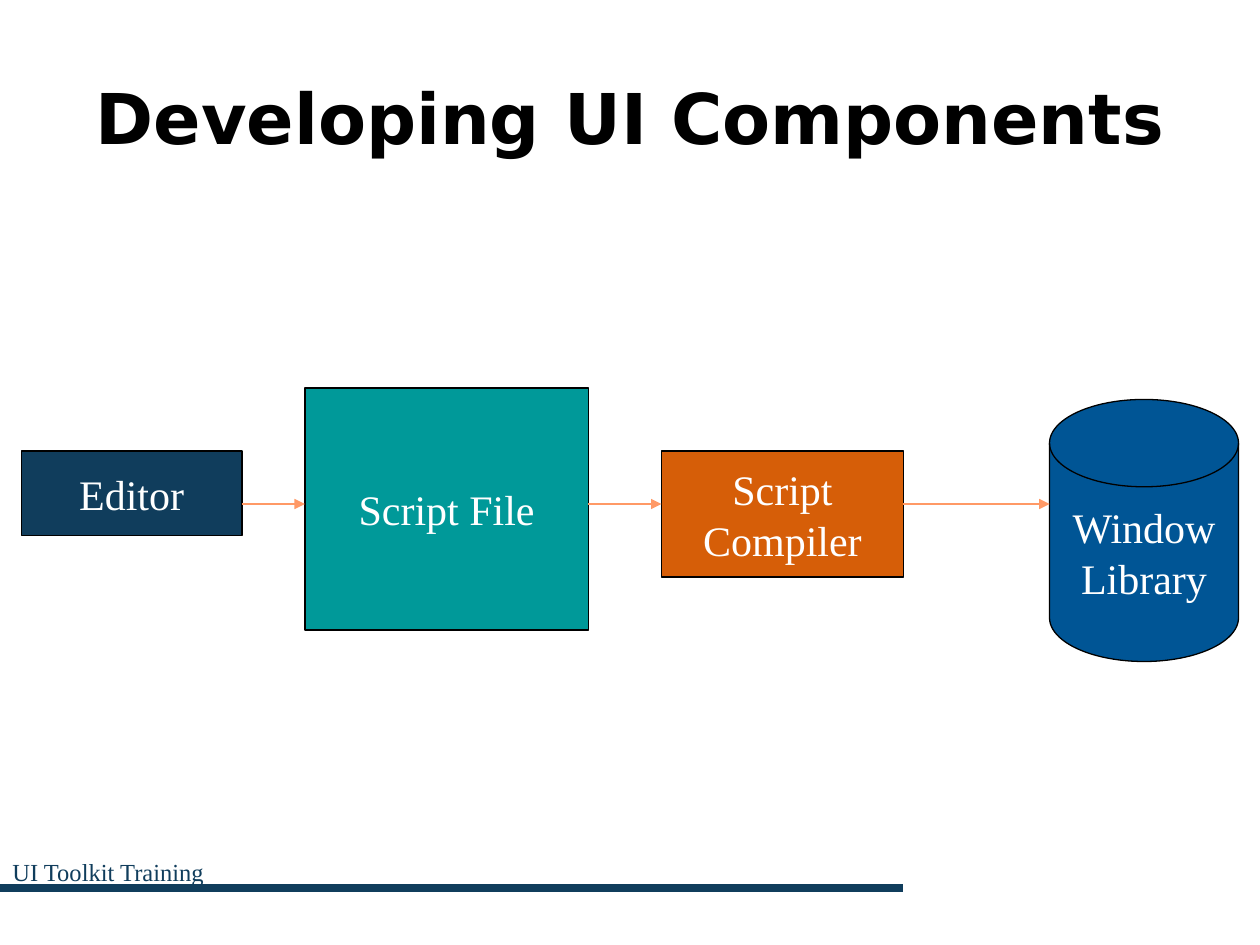
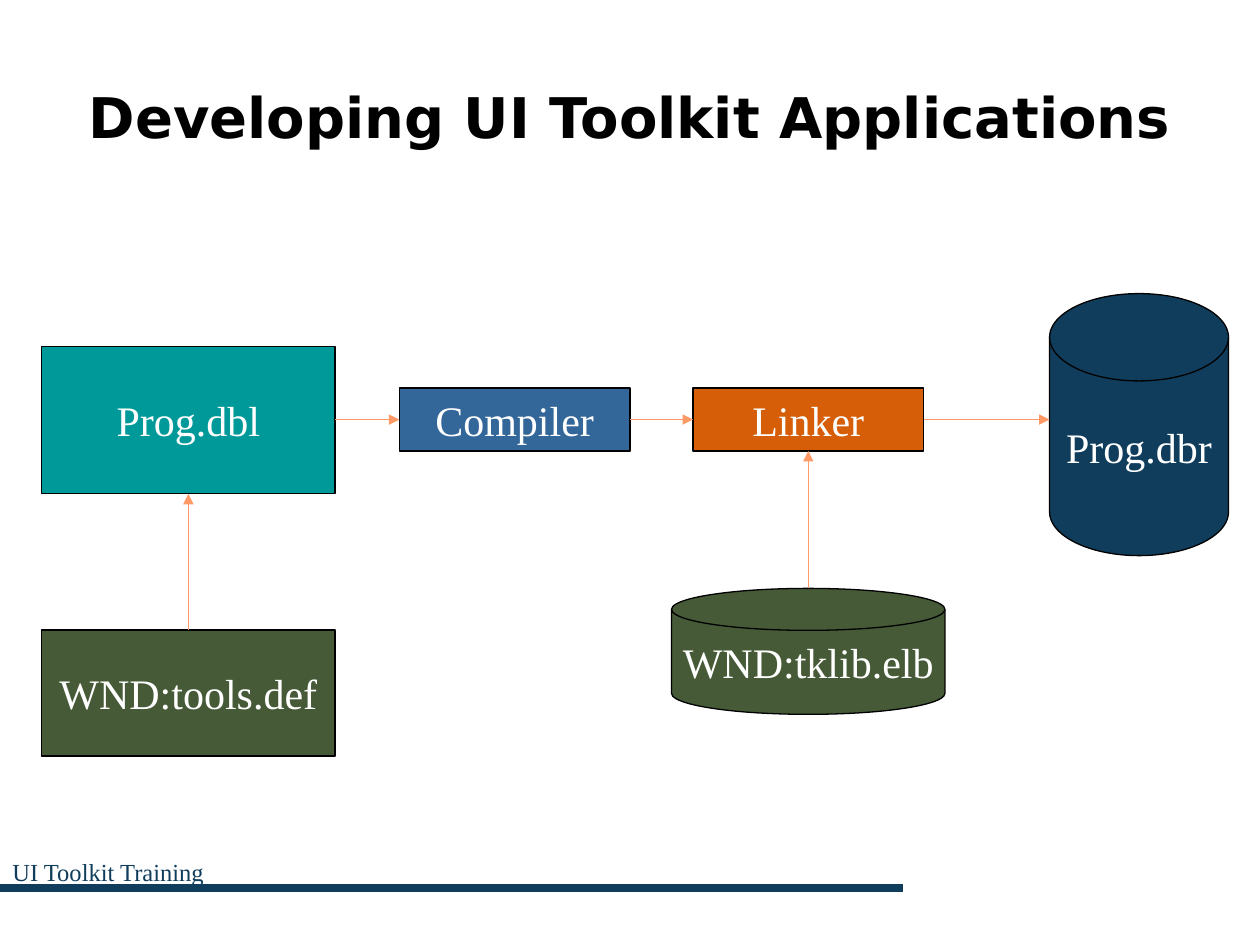
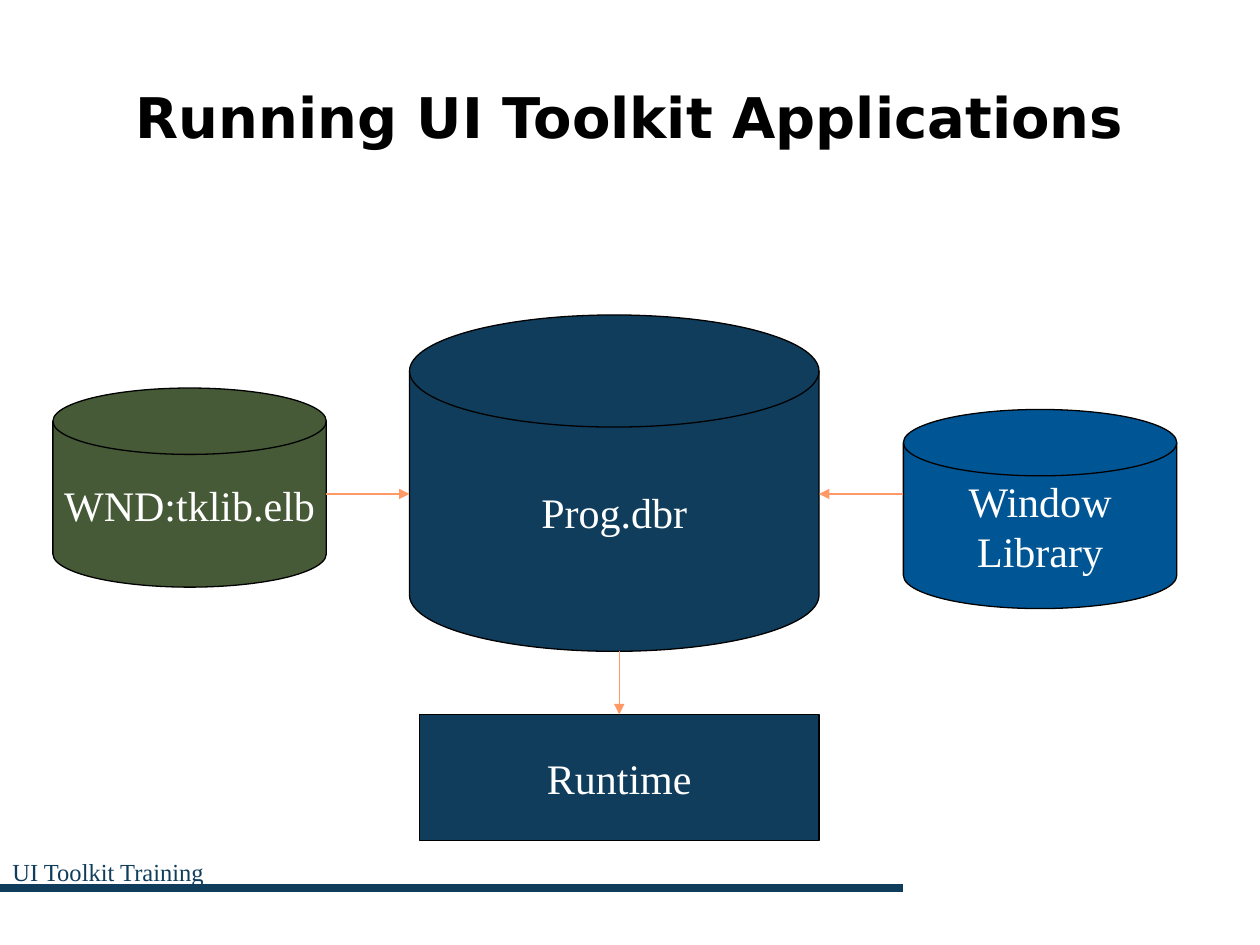
from dataclasses import dataclass

from lxml.etree import SubElement
from pptx import Presentation
from pptx.dml.color import RGBColor
from pptx.enum.shapes import MSO_CONNECTOR as Connector, MSO_SHAPE as Shape
from pptx.enum.text import MSO_ANCHOR as Anchor, PP_ALIGN as Align
from pptx.oxml.ns import qn
from pptx.util import Inches, Pt


@dataclass(frozen=True)
class Theme:
    """Colours, fonts and point sizes shared by the slides."""
    navy: str = "103D5C"
    teal: str = "009999"
    orange: str = "D65E08"
    blue: str = "005595"
    steel: str = "336699"
    olive: str = "465A37"
    arrow: str = "FF9966"
    black: str = "000000"
    white: str = "FFFFFF"
    title_font: str = "DejaVu Sans"
    body_font: str = "Times New Roman"
    title_size: int = 32
    large_title_size: int = 40
    label_size: int = 24
    footer_size: int = 14
    thin: float = 0.75
    band: float = 4.5


THEME = Theme()


def rgb(colour):
    """Return the colour object of a hex string."""
    return RGBColor.from_string(colour)


def write(frame, lines, font, size, colour, align, bold=False):
    """Write each line as one paragraph with one run."""
    for index, line in enumerate(lines):
        paragraph = frame.paragraphs[0] if index == 0 else frame.add_paragraph()
        paragraph.alignment = align
        run = paragraph.add_run()
        run.text = line
        run.font.name = font
        run.font.size = Pt(size)
        run.font.bold = bold
        run.font.color.rgb = rgb(colour)


def add_text(slide, box, anchor, text, *style, **options):
    """Add a wrapped text box with a single paragraph."""
    frame = slide.shapes.add_textbox(*map(Inches, box)).text_frame
    frame.word_wrap = True
    frame.vertical_anchor = anchor
    write(frame, [text], *style, **options)


def add_line(slide, start, end, colour, width):
    """Add a straight line without shadow between two points."""
    line = slide.shapes.add_connector(Connector.STRAIGHT, *start, *end)
    line.line.color.rgb = rgb(colour)
    line.line.width = Pt(width)
    SubElement(line._element.spPr, qn("a:effectLst"))
    return line


def add_arrow(slide, start, end):
    """Add a thin line with a triangle at its end."""
    line = add_line(slide, start, end, THEME.arrow, THEME.thin)
    SubElement(line.line._get_or_add_ln(), qn("a:tailEnd"), type="triangle")


def link_across(slide, source, target, y):
    """Point from one shape to another beside it at height y."""
    if source.left < target.left:
        start, end = source.left + source.width, target.left
    else:
        start, end = source.left, target.left + target.width
    add_arrow(slide, (start, Inches(y)), (end, Inches(y)))


def link_upright(slide, source, target):
    """Point from one shape to the middle of another above or below it."""
    if source.top < target.top:
        start, end = source.top + source.height, target.top
    else:
        start, end = source.top, target.top + target.height
    x = target.left + target.width // 2
    add_arrow(slide, (x, start), (x, end))


def add_node(slide, kind, box, colour, *lines):
    """Add a filled and outlined shape with a centred label."""
    node = slide.shapes.add_shape(kind, *map(Inches, box))
    node.shadow.inherit = False
    node.fill.solid()
    node.fill.fore_color.rgb = rgb(colour)
    node.line.color.rgb = rgb(THEME.black)
    node.line.width = Pt(THEME.thin)
    frame = node.text_frame
    frame.word_wrap = False
    frame.vertical_anchor = Anchor.MIDDLE
    write(frame, lines, THEME.body_font, THEME.label_size, THEME.white, Align.CENTER)
    return node


def add_slide(presentation, title, size=THEME.title_size):
    """Add a blank slide with the shared band, title and footer."""
    slide = presentation.slides.add_slide(presentation.slide_layouts[6])
    band_y = Inches(7.05)
    add_line(slide, (Inches(-0.08), band_y), (Inches(7.17), band_y), THEME.navy, THEME.band)
    add_text(slide, (0.5, 0.3, 9, 1.25), Anchor.MIDDLE, title,
             THEME.title_font, size, THEME.black, Align.CENTER, bold=True)
    add_text(slide, (0, 6.75, 4.33, 0.5), Anchor.TOP, "UI Toolkit Training",
             THEME.body_font, THEME.footer_size, THEME.navy, Align.LEFT)
    return slide


def build_components(presentation):
    """Show the chain from editor to window library."""
    slide = add_slide(presentation, "Developing UI Components", THEME.large_title_size)
    process, disk = Shape.FLOWCHART_PROCESS, Shape.FLOWCHART_MAGNETIC_DISK
    chain = [
        add_node(slide, process, (0.17, 3.58, 1.75, 0.67), THEME.navy, "Editor"),
        add_node(slide, process, (2.42, 3.08, 2.25, 1.92), THEME.teal, "Script File"),
        add_node(slide, process, (5.25, 3.58, 1.92, 1), THEME.orange, "Script", "Compiler"),
        add_node(slide, disk, (8.33, 3.17, 1.5, 2.08), THEME.blue, "Window", "Library"),
    ]
    for source, target in zip(chain, chain[1:]):
        link_across(slide, source, target, 4)


def build_applications(presentation):
    """Show how a program is compiled and linked."""
    slide = add_slide(presentation, "Developing UI Toolkit Applications")
    box, disk = Shape.RECTANGLE, Shape.FLOWCHART_MAGNETIC_DISK
    program = add_node(slide, box, (0.33, 2.75, 2.33, 1.17), THEME.teal, "Prog.dbl")
    tools = add_node(slide, box, (0.33, 5, 2.33, 1), THEME.olive, "WND:tools.def")
    compiler = add_node(slide, box, (3.17, 3.08, 1.83, 0.5), THEME.steel, "Compiler")
    linker = add_node(slide, box, (5.5, 3.08, 1.83, 0.5), THEME.orange, "Linker")
    output = add_node(slide, disk, (8.33, 2.33, 1.42, 2.08), THEME.navy, "Prog.dbr")
    library = add_node(slide, disk, (5.33, 4.67, 2.17, 1), THEME.olive, "WND:tklib.elb")
    chain = [program, compiler, linker, output]
    for source, target in zip(chain, chain[1:]):
        link_across(slide, source, target, 3.33)
    link_upright(slide, tools, program)
    link_upright(slide, library, linker)


def build_running(presentation):
    """Show what a program uses when it runs."""
    slide = add_slide(presentation, "Running UI Toolkit Applications")
    disk = Shape.FLOWCHART_MAGNETIC_DISK
    toolkit = add_node(slide, disk, (0.42, 3.08, 2.17, 1.58), THEME.olive, "WND:tklib.elb")
    program = add_node(slide, disk, (3.25, 2.5, 3.25, 2.67), THEME.navy, "Prog.dbr")
    windows = add_node(slide, disk, (7.17, 3.25, 2.17, 1.58), THEME.blue, "Window", "Library")
    runtime = add_node(slide, Shape.RECTANGLE, (3.33, 5.67, 3.17, 1), THEME.navy, "Runtime")
    for library in (toolkit, windows):
        link_across(slide, library, program, 3.92)
    link_upright(slide, program, runtime)


def main():
    """Build the three slides and save them."""
    presentation = Presentation()
    presentation.slide_width = Inches(10)
    presentation.slide_height = Inches(7.5)
    build_components(presentation)
    build_applications(presentation)
    build_running(presentation)
    presentation.save("out.pptx")


main()
